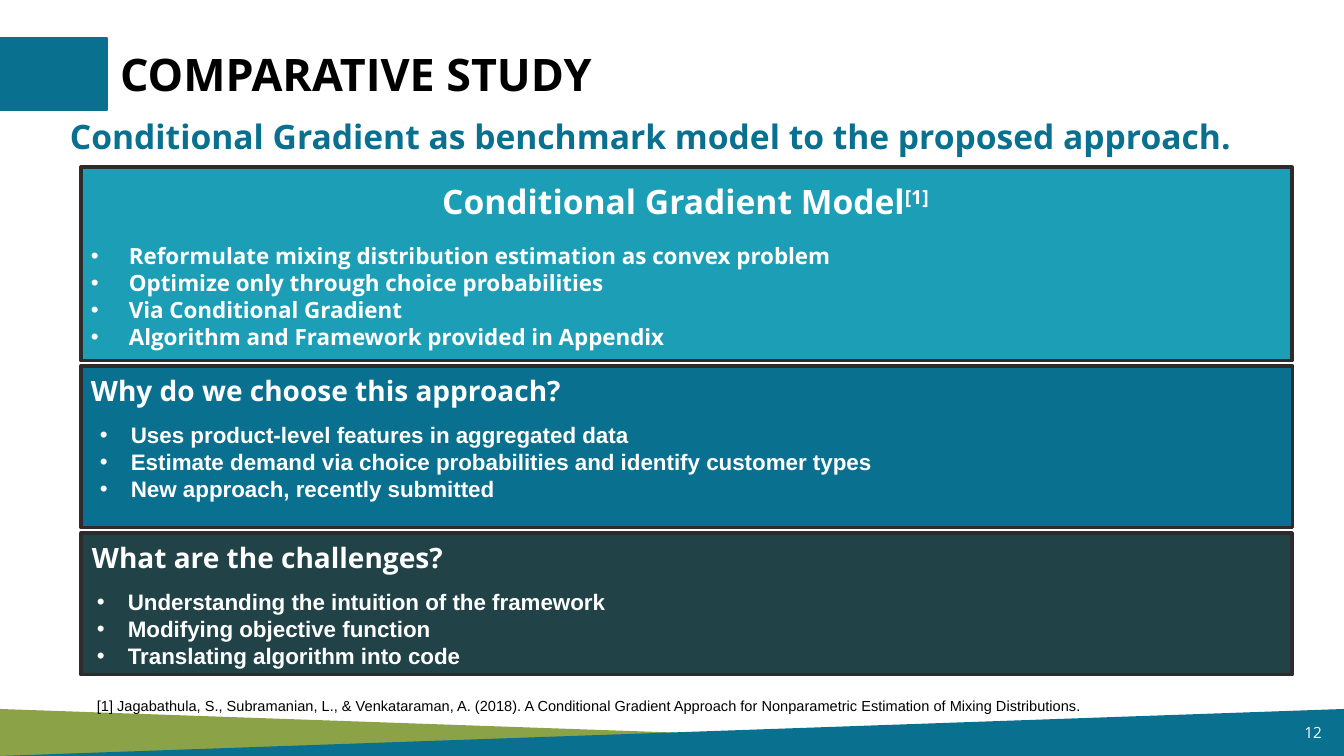
from lxml.etree import SubElement
from pptx import Presentation
from pptx.dml.color import RGBColor
from pptx.enum.shapes import MSO_SHAPE as Shape
from pptx.enum.text import MSO_ANCHOR as Anchor, MSO_AUTO_SIZE as Fit, PP_ALIGN as Align
from pptx.oxml.ns import qn
from pptx.util import Pt

TEAL = RGBColor(0x09, 0x70, 0x8F)
AQUA = RGBColor(0x1C, 0x9F, 0xB6)
DARK = RGBColor(0x21, 0x42, 0x47)
GREEN = RGBColor(0x8B, 0xA2, 0x47)
EDGE = RGBColor(0x2D, 0x2B, 0x2C)
WHITE = RGBColor(0xFF, 0xFF, 0xFF)
BLACK = RGBColor(0, 0, 0)
SANS, ARIAL = "Open Sans", "Arial"

TITLE = "COMPARATIVE STUDY"
LEAD = "Conditional Gradient as benchmark model to the proposed approach."
NOTE = ("[1] Jagabathula, S., Subramanian, L., & Venkataraman, A. (2018). "
        "A Conditional Gradient Approach for Nonparametric Estimation of "
        "Mixing Distributions.")
PAGE = "12"

# Boxes are (left, top, width, height) in px
PANELS = [
    dict(fill=AQUA, box=(81, 167, 1211, 194),
         head="Conditional Gradient Model", mark="[1]", size=24,
         align=Align.CENTER, head_box=(80, 176, 1211, 50),
         font=ARIAL and SANS, indent=38, list_align=Align.JUSTIFY,
         list_box=(81, 237, 1212, 119),
         items=["Reformulate mixing distribution estimation as convex problem",
                "Optimize only through choice probabilities",
                "Via Conditional Gradient",
                "Algorithm and Framework provided in Appendix"]),
    dict(fill=TEAL, box=(81, 366, 1212, 162),
         head="Why do we choose this approach?", mark="", size=20,
         align=Align.LEFT, head_box=(81, 368, 1211, 44),
         font=ARIAL, indent=31, list_align=Align.LEFT,
         list_box=(90, 416, 1212, 95),
         items=["Uses product-level features in aggregated data",
                "Estimate demand via choice probabilities and identify customer types",
                "New approach, recently submitted"]),
    dict(fill=DARK, box=(81, 533, 1211, 142),
         head="What are the challenges?", mark="", size=20,
         align=Align.LEFT, head_box=(82, 535, 1211, 44),
         font=ARIAL, indent=31, list_align=Align.LEFT,
         list_box=(87, 583, 1195, 92),
         items=["Understanding the intuition of the framework",
                "Modifying objective function",
                "Translating algorithm into code"]),
]


def px(n):
    return round(n * 914400 / 100.8)


deck = Presentation()
deck.slide_width, deck.slide_height = px(1344), px(756)
slide = deck.slides.add_slide(deck.slide_layouts[5])
shapes = slide.shapes


def block(kind, box, fill, edge=None, width=1):
    shape = shapes.add_shape(kind, *map(px, box))
    shape.shadow.inherit = False
    shape.fill.solid()
    shape.fill.fore_color.rgb = fill
    if edge is None:
        shape.line.fill.background()
    else:
        shape.line.color.rgb = edge
        shape.line.width = Pt(width)
    return shape


def style(para, size, color, font=SANS, bold=True, align=Align.LEFT):
    para.alignment = align
    para.font.name, para.font.size = font, Pt(size)
    para.font.bold, para.font.color.rgb = bold, color


def frame(box, anchor=Anchor.MIDDLE, shape=None):
    """Place a text box, or the given shape, and return its text frame."""
    shape = shape or shapes.add_textbox(0, 0, 0, 0)
    shape.left, shape.top, shape.width, shape.height = map(px, box)
    text = shape.text_frame
    text.word_wrap, text.auto_size = True, Fit.NONE
    text.vertical_anchor = anchor
    return text


def label(box, words, *look, shape=None, **more):
    para = frame(box, shape=shape).paragraphs[0]
    para.add_run().text = words
    style(para, *look, **more)
    return para


def raised(para, words):
    """Add a run lifted by 30 % as superscript."""
    run = para.add_run()
    run.text = words
    run.font._element.set("baseline", "30000")


def bullets(panel):
    text = frame(panel["list_box"], Anchor.TOP)
    for i, item in enumerate(panel["items"]):
        para = text.add_paragraph() if i else text.paragraphs[0]
        para.text = item
        style(para, 16, WHITE, panel["font"], align=panel["list_align"])
        para.line_spacing = Pt(19.3)
        props = para._p.get_or_add_pPr()
        props.set("marL", str(px(panel["indent"])))
        props.set("indent", str(-px(panel["indent"])))
        mark = SubElement(props, qn("a:buFont"))
        mark.set("typeface", ARIAL)
        SubElement(props, qn("a:buChar")).set("char", "•")
        # Default run properties must follow the bullet
        props.append(props.find(qn("a:defRPr")))


band = (0, 709, 1344, 47)
block(Shape.RIGHT_TRIANGLE, band, GREEN)
hill = block(Shape.RIGHT_TRIANGLE, band, TEAL)
hill._element.spPr.find(qn("a:xfrm")).set("flipH", "1")
label((1239, 718, 93, 29), PAGE, 11, WHITE, bold=False, align=Align.RIGHT)

label((110, 41, 558, 65), TITLE, 32, BLACK, shape=shapes.title)
block(Shape.RECTANGLE, (0, 38, 107, 72), TEAL, TEAL)
label((60, 111, 1271, 50), LEAD, 24, TEAL)

for panel in PANELS:
    block(Shape.RECTANGLE, panel["box"], panel["fill"], EDGE, 2.25)
    head = label(panel["head_box"], panel["head"], panel["size"], WHITE,
                 align=panel["align"])
    if panel["mark"]:
        raised(head, panel["mark"])
    bullets(panel)

cite = frame((87, 687, 1213, 30), Anchor.TOP).paragraphs[0]
raised(cite, NOTE)
style(cite, 18, BLACK, ARIAL, bold=False)
cite.line_spacing, cite.space_after = 1.07, Pt(8)

deck.save("out.pptx")
